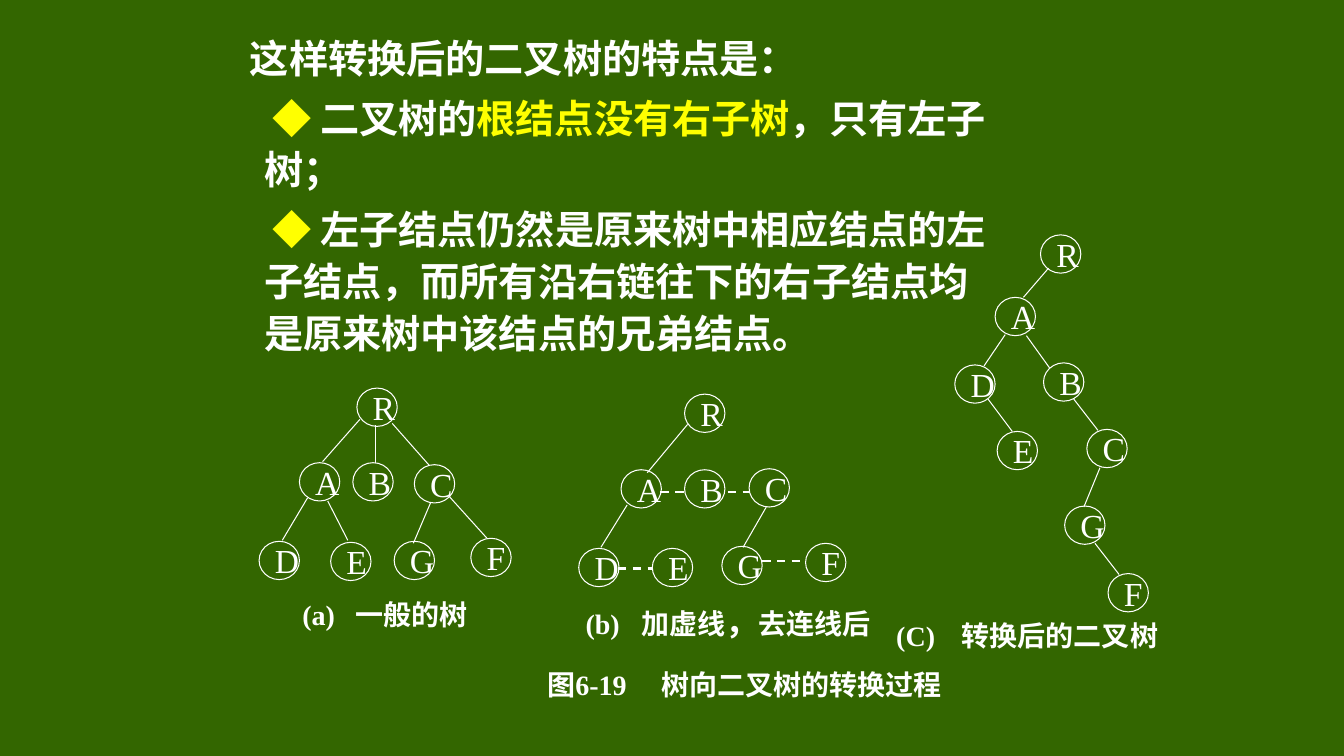
from lxml import etree
from pptx import Presentation
from pptx.dml.color import RGBColor
from pptx.enum.dml import MSO_LINE
from pptx.enum.shapes import MSO_CONNECTOR, MSO_SHAPE
from pptx.enum.text import MSO_ANCHOR, PP_ALIGN
from pptx.oxml.ns import qn
from pptx.util import Inches, Pt

STRAIGHT = MSO_CONNECTOR.STRAIGHT
ELLIPSE = MSO_SHAPE.OVAL
DASH = MSO_LINE.DASH
MIDDLE = MSO_ANCHOR.MIDDLE
LEFT = PP_ALIGN.LEFT

SANS, SERIF = "Noto Sans CJK SC", "Times New Roman"
GREEN, WHITE, YELLOW = "336600", "FFFFFF", "FFFF00"
NODE_W, NODE_H = 0.4, 0.38

# Each paragraph: left margin, first-line indent, space before, (text, colour) runs
FEATURES = [
    (0, 0.44, 0, [("这样转换后的二叉树的特点是：", WHITE)]),
    (0.58, 0.08, 5.6, [("◆", YELLOW), (" 二叉树的", WHITE),
                       ("根结点没有右子树", YELLOW), ("，只有左子树；", WHITE)]),
    (0.58, 0.08, 5.6, [("◆", YELLOW),
                       (" 左子结点仍然是原来树中相应结点的左子结点，"
                        "而所有沿右链往下的右子结点均是原来树中该结点的兄弟结点。", WHITE)]),
]

# Node and edge places are measured from the top left corner of each tree
GENERAL_TREE = {
    "nodes": {"R": (0.97, 0), "A": (0.4, 0.74), "B": (0.93, 0.74), "C": (1.54, 0.76),
              "D": (0, 1.52), "E": (0.71, 1.53), "G": (1.34, 1.52), "F": (2.1, 1.49)},
    "edges": [(1, 0.31, 0.63, 0.73), (1.15, 0.37, 1.15, 0.74), (1.32, 0.35, 1.69, 0.77),
              (0.48, 1.09, 0.23, 1.51), (0.68, 1.12, 0.88, 1.51),
              (1.89, 1.08, 2.26, 1.49), (1.7, 1.14, 1.53, 1.54)],
    "sibling_links": [],
}
LINKED_TREE = {
    "nodes": {"R": (1.05, 0), "A": (0.42, 0.75), "B": (1.05, 0.75), "C": (1.69, 0.74),
              "D": (0, 1.53), "E": (0.73, 1.53), "G": (1.42, 1.51), "F": (2.25, 1.48)},
    "edges": [(1.08, 0.3, 0.68, 0.78), (0.48, 1.1, 0.22, 1.52), (1.86, 1.12, 1.63, 1.52)],
    "sibling_links": [(0.81, 0.97, 1.06, 0.97), (1.48, 0.97, 1.7, 0.97),
                      (0.39, 1.73, 0.73, 1.73), (1.82, 1.66, 2.24, 1.66)],
}
BINARY_TREE = {
    "nodes": {"R": (0.85, 0), "A": (0.4, 0.62), "D": (0, 1.29), "B": (0.88, 1.27),
              "C": (1.31, 1.93), "E": (0.42, 1.95), "G": (1.09, 2.69), "F": (1.52, 3.36)},
    "edges": [(0.93, 0.33, 0.68, 0.62), (0.5, 0.99, 0.29, 1.3), (0.71, 1, 0.94, 1.32),
              (0.33, 1.63, 0.57, 1.95), (1.18, 1.63, 1.42, 1.94),
              (1.44, 2.31, 1.28, 2.7), (1.39, 3.06, 1.63, 3.37)],
    "sibling_links": [],
}
TREES = [(2.57, 3.85, GENERAL_TREE), (5.74, 3.91, LINKED_TREE), (9.47, 2.33, BINARY_TREE)]

# Each caption: box, label, distance from label to title, (text, size, font) title runs
CAPTIONS = [
    ((2.9, 5.92, 2, 0.35), "(a)", 0.53, [("一般的树", 20, SERIF)]),
    ((5.71, 5.99, 3.13, 0.35), "(b)", 0.55,
     [("加虚线", 20, SERIF), ("，", 24, SANS), ("去连线后", 20, SERIF)]),
    ((8.79, 6.11, 2.85, 0.39), "(C)", 0.65, [("转换后的二叉树", 20, SERIF)]),
    ((5.33, 6.59, 4.14, 0.39), "图6-19", 1.13, [("树向二叉树的转换过程", 20, SERIF)]),
]


def color(value):
    return RGBColor.from_string(value)


def apply(target, formats):
    for name, value in formats.items():
        setattr(target, name, value)


def add_run(paragraph, text, size, font, fill=WHITE, bold=True):
    """Add a run with one Latin font and the sans font for Chinese."""
    run = paragraph.add_run()
    run.text = text
    apply(run.font, {"size": Pt(size), "bold": bold, "name": font})
    run.font.color.rgb = color(fill)
    east_asian = etree.Element(qn("a:ea"), typeface=SANS)
    run.font._element.find(qn("a:latin")).addnext(east_asian)


def add_features(slide, left, top, width, height):
    frame = slide.shapes.add_textbox(*map(Inches, (left, top, width, height))).text_frame
    frame.word_wrap = True
    for index, (margin, indent, before, runs) in enumerate(FEATURES):
        paragraph = frame.add_paragraph() if index else frame.paragraphs[0]
        apply(paragraph, {"line_spacing": Pt(37.1), "space_before": Pt(before)})
        properties = paragraph._p.get_or_add_pPr()
        properties.set("marL", str(Inches(margin)))
        properties.set("indent", str(Inches(indent)))
        for text, fill in runs:
            add_run(paragraph, text, 28, SANS, fill)


def add_caption(slide, box, label, title_offset, title):
    frame = slide.shapes.add_textbox(*map(Inches, box)).text_frame
    apply(frame, {"word_wrap": True, "vertical_anchor": MIDDLE})
    paragraph = frame.paragraphs[0]
    tabs = etree.SubElement(paragraph._p.get_or_add_pPr(), qn("a:tabLst"))
    etree.SubElement(tabs, qn("a:tab"), pos=str(Inches(title_offset)), algn="l")
    add_run(paragraph, label + "\t", 20, SERIF)
    for text, size, font in title:
        add_run(paragraph, text, size, font)


def add_node(slide, left, top, letter):
    node = slide.shapes.add_shape(ELLIPSE, *map(Inches, (left, top, NODE_W, NODE_H)))
    node.shadow.inherit = False
    node.fill.background()
    node.line.color.rgb = color(WHITE)
    node.line.width = Pt(0.75)
    apply(node.text_frame, {"word_wrap": False, "vertical_anchor": MIDDLE})
    paragraph = node.text_frame.paragraphs[0]
    paragraph.alignment = LEFT
    add_run(paragraph, letter, 24, SERIF, bold=False)


def add_edge(slide, left, top, ends, width, dash=None):
    x1, y1, x2, y2 = ends
    edge = slide.shapes.add_connector(
        STRAIGHT, *map(Inches, (left + x1, top + y1, left + x2, top + y2)))
    edge.line.color.rgb = color(WHITE)
    apply(edge.line, {"width": Pt(width), "dash_style": dash})
    etree.SubElement(edge._element.spPr, qn("a:effectLst"))


def add_tree(slide, left, top, tree):
    for letter, (x, y) in tree["nodes"].items():
        add_node(slide, left + x, top + y, letter)
    for ends in tree["edges"]:
        add_edge(slide, left, top, ends, 0.75)
    for ends in tree["sibling_links"]:
        add_edge(slide, left, top, ends, 1.5, DASH)


def main():
    deck = Presentation()
    apply(deck, {"slide_width": Inches(13.33), "slide_height": Inches(7.5)})
    slide = deck.slides.add_slide(deck.slide_layouts[6])
    slide.background.fill.solid()
    slide.background.fill.fore_color.rgb = color(GREEN)
    add_features(slide, 1.94, 0.24, 8.05, 3.37)
    for left, top, tree in TREES:
        add_tree(slide, left, top, tree)
    for caption in CAPTIONS:
        add_caption(slide, *caption)
    deck.save("out.pptx")


if __name__ == "__main__":
    main()
